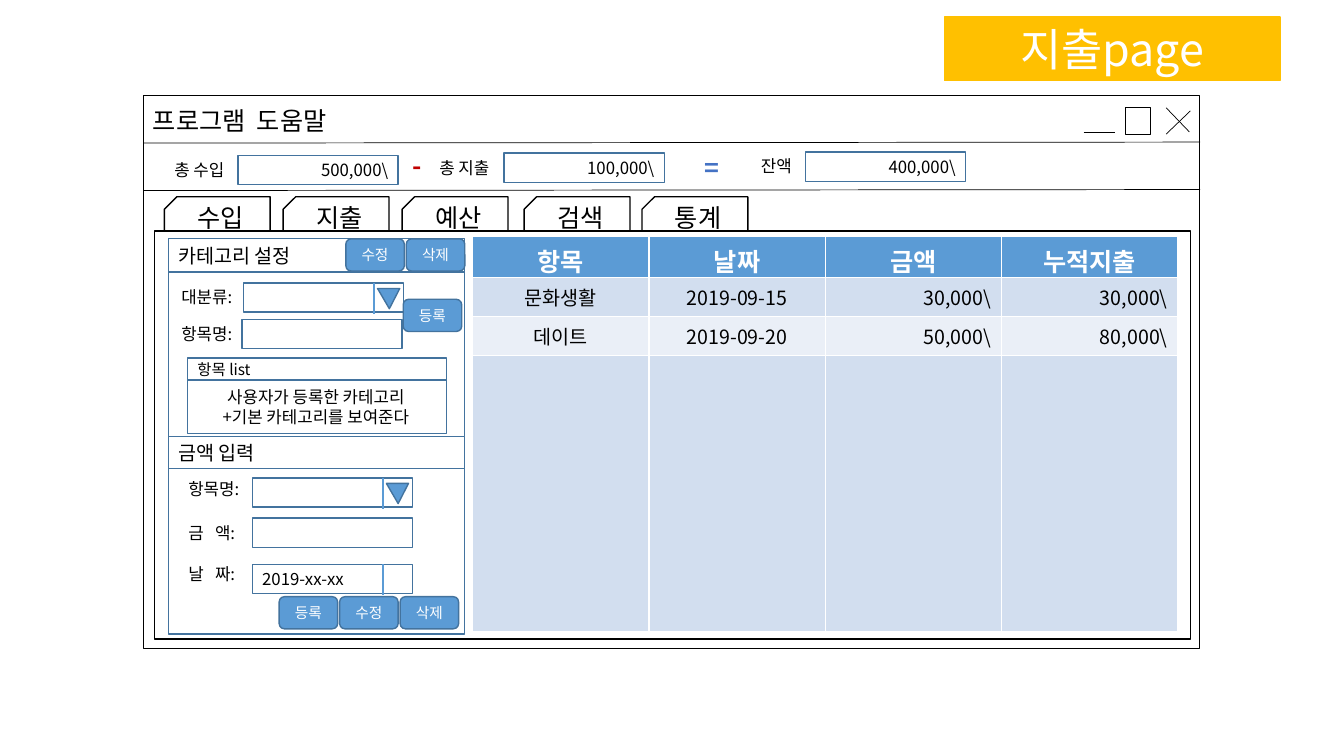
from lxml import etree
from pptx import Presentation
from pptx.dml.color import RGBColor
from pptx.enum import shapes, text
from pptx.oxml.ns import qn
from pptx.util import Pt

FONT = "Noto Sans CJK KR"
BLACK, WHITE = "000000", "FFFFFF"
BLUE, EDGE = "5B9BD5", "43739E"
LEFT, CENTER, RIGHT = text.PP_ALIGN.LEFT, text.PP_ALIGN.CENTER, text.PP_ALIGN.RIGHT
SHAPE = shapes.MSO_SHAPE
FIELD_W, FIELD_H = 114.5, 20.9


def rgb(value):
    return RGBColor.from_string(value)


def write(tf, content, size, color=BLACK, align=LEFT, bold=False):
    tf.text = content
    for p in tf.paragraphs:
        p.alignment = align
        for r in p.runs:
            r.font.name = FONT
            r.font.size = Pt(size)
            r.font.bold = bold
            r.font.color.rgb = rgb(color)
            etree.SubElement(r._r.get_or_add_rPr(), qn("a:ea"), typeface=FONT)


def widen_space(p, extra):
    first, rest = p.runs[0].text.split(" ")
    p.runs[0].text = first
    source = p.runs[0]
    for content in (" ", rest):
        r = p.add_run()
        r.text = content
        r.font.name = FONT
        r.font.size = source.font.size
        r.font.color.rgb = source.font.color.rgb
        etree.SubElement(r._r.get_or_add_rPr(), qn("a:ea"), typeface=FONT)
    p.runs[1]._r.rPr.set("spc", str(int(extra * 100)))


def label(s, content, x, y, w=56.2, h=21.6, size=12, color=BLACK, align=LEFT, bold=False, gap=0):
    tf = s.shapes.add_textbox(Pt(x), Pt(y), Pt(w), Pt(h)).text_frame
    tf.word_wrap = True
    write(tf, content, size, color, align, bold)
    if gap:
        widen_space(tf.paragraphs[0], gap)


def box(s, x, y, w, h, fill=WHITE, line=EDGE, width=1, kind=SHAPE.RECTANGLE,
        content="", size=12, color=BLACK, align=LEFT):
    sp = s.shapes.add_shape(kind, Pt(x), Pt(y), Pt(w), Pt(h))
    sp.shadow.inherit = False
    if fill:
        sp.fill.solid()
        sp.fill.fore_color.rgb = rgb(fill)
    else:
        sp.fill.background()
    sp.line.color.rgb = rgb(line)
    sp.line.width = Pt(width)
    if content:
        sp.text_frame.vertical_anchor = text.MSO_ANCHOR.MIDDLE
        write(sp.text_frame, content, size, color, align)
    return sp


def rule(s, x1, y1, x2, y2, color=BLACK, width=0.5):
    c = s.shapes.add_connector(shapes.MSO_CONNECTOR.STRAIGHT, Pt(x1), Pt(y1), Pt(x2), Pt(y2))
    c.line.color.rgb = rgb(color)
    c.line.width = Pt(width)
    etree.SubElement(c._element.spPr, qn("a:effectLst"))


def tab(s, x, content):
    sp = box(s, x, 140.6, 75.6, 24.5, line=BLACK, kind=SHAPE.SNIP_1_RECTANGLE,
             content=content, size=18, align=CENTER)
    sp.adjustments[0] = 0.364
    sp._element.spPr.xfrm.set("flipH", "1")


def field(s, x, y, content=""):
    box(s, x, y, FIELD_W, FIELD_H, fill=None, content=content, align=RIGHT)


def split_field(s, x, y, arrow=True):
    field(s, x, y)
    if arrow:
        sp = box(s, x + 95.8, y + 4, 15.8, 14.4, fill=BLUE, kind=SHAPE.ISOSCELES_TRIANGLE)
        sp.adjustments[0] = 0.47
        sp.rotation = 180
    rule(s, x + 93.4, y, x + 93.4, y + 22.3, BLUE, 1.5)


def button(s, x, y, content):
    box(s, x, y, 41.8, 23, fill=BLUE, kind=SHAPE.ROUNDED_RECTANGLE,
        content=content, size=10.5, color=WHITE, align=CENTER)


def window(s):
    box(s, 102.2, 68.4, 754.6, 394.6, line=BLACK, width=0.5)
    rule(s, 102.2, 102.2, 857.2, 101.5)
    label(s, "프로그램 도움말", 102.2, 72, 175.7, 28.8, 18, gap=4)
    rule(s, 774, 94.3, 796.3, 94.3)
    box(s, 803.5, 77, 18, 18.7, line=BLACK, width=0.5)
    rule(s, 833, 77, 849.6, 94.3)
    rule(s, 850.3, 79.2, 833, 95.8)
    tabs = zip((117.4, 202.3, 287.3, 374.4, 458.6), ("수입", "지출", "예산", "검색", "통계"))
    for x, content in tabs:
        tab(s, x, content)
    box(s, 110.2, 164.9, 740.2, 291.6, line=BLACK)


def balance(s):
    rule(s, 103, 136.1, 857.2, 135.4)
    label(s, "총 수입", 117.4, 110.9)
    field(s, 169.9, 110.9, "500,000\\")
    label(s, "-", 287.3, 103.7, 25.9, 28.8, 18, "C00000", bold=True)
    label(s, "총 지출", 306.7, 109.4)
    field(s, 360, 109.4, "100,000\\")
    label(s, "=", 496.1, 105.1, 25.9, 28.8, 18, "4472C4", bold=True)
    label(s, "잔액", 536.4, 108, 45.4)
    field(s, 575.3, 108.7, "400,000\\")


def expense_table(s):
    rows = (("항목", "날짜", "금액", "누적지출"),
            ("문화생활", "2019-09-15", "30,000\\", "30,000\\"),
            ("데이트", "2019-09-20", "50,000\\", "80,000\\"),
            ("", "", "", ""))
    fills = (BLUE, "D2DEEF", "EAEFF7", "D2DEEF")
    heights = (26.2, 27.9, 27.9, 197.3)
    table = s.shapes.add_table(4, 4, Pt(337.7), Pt(169.2), Pt(503.6), Pt(279.3)).table
    for i, row in enumerate(rows):
        table.rows[i].height = Pt(heights[i])
        for j, content in enumerate(row):
            cell = table.cell(i, j)
            cell.fill.solid()
            cell.fill.fore_color.rgb = rgb(fills[i])
            cell.vertical_anchor = text.MSO_ANCHOR.MIDDLE
            if i == 0:
                write(cell.text_frame, content, 18, WHITE, CENTER, True)
            else:
                write(cell.text_frame, content, 14, align=RIGHT if j > 1 else CENTER)


def category_panel(s):
    box(s, 120.2, 170.6, 211.7, 23.4, content="카테고리 설정", size=14)
    box(s, 120.2, 194.4, 211.7, 117.4)
    label(s, "대분류:", 122.4, 201.6)
    split_field(s, 173.9, 202.1)
    label(s, "항목명:", 122.4, 227.5)
    field(s, 172.8, 228.2)
    box(s, 133.9, 255.6, 185, 15.8, content="항목 list", size=11)
    box(s, 133.9, 271.4, 185, 38.2)
    label(s, "사용자가 등록한 카테고리\n+기본 카테고리를 보여준다", 133.2, 272.9, 185, 36, align=CENTER)
    button(s, 288, 213.8, "등록")
    button(s, 247, 170.6, "수정")
    button(s, 290.2, 170.6, "삭제")


def amount_panel(s):
    box(s, 120.2, 311.8, 211.7, 23.4, content="금액 입력", size=14)
    box(s, 120.2, 334.8, 211.7, 118.1)
    label(s, "항목명:", 127.4, 338.4)
    split_field(s, 180.2, 341.3)
    label(s, "금 액:", 127.4, 370.1, gap=5.4)
    field(s, 180.2, 370.1)
    label(s, "날 짜:", 127.4, 398.9, gap=5.4)
    label(s, "2019-xx-xx", 180.2, 402.5, 93.6)
    split_field(s, 180.2, 403, arrow=False)
    for i, content in enumerate(("등록", "수정", "삭제")):
        button(s, 199.4 + 43.2 * i, 426.2, content)


def main():
    prs = Presentation()
    prs.slide_width, prs.slide_height = Pt(960), Pt(540)
    s = prs.slides.add_slide(prs.slide_layouts[6])
    window(s)
    balance(s)
    expense_table(s)
    box(s, 674.6, 12.2, 239.8, 45.4, fill="FFC000", line="FFC000",
        content="지출page", size=32, color=WHITE, align=CENTER)
    category_panel(s)
    amount_panel(s)
    prs.save("out.pptx")


if __name__ == "__main__":
    main()
